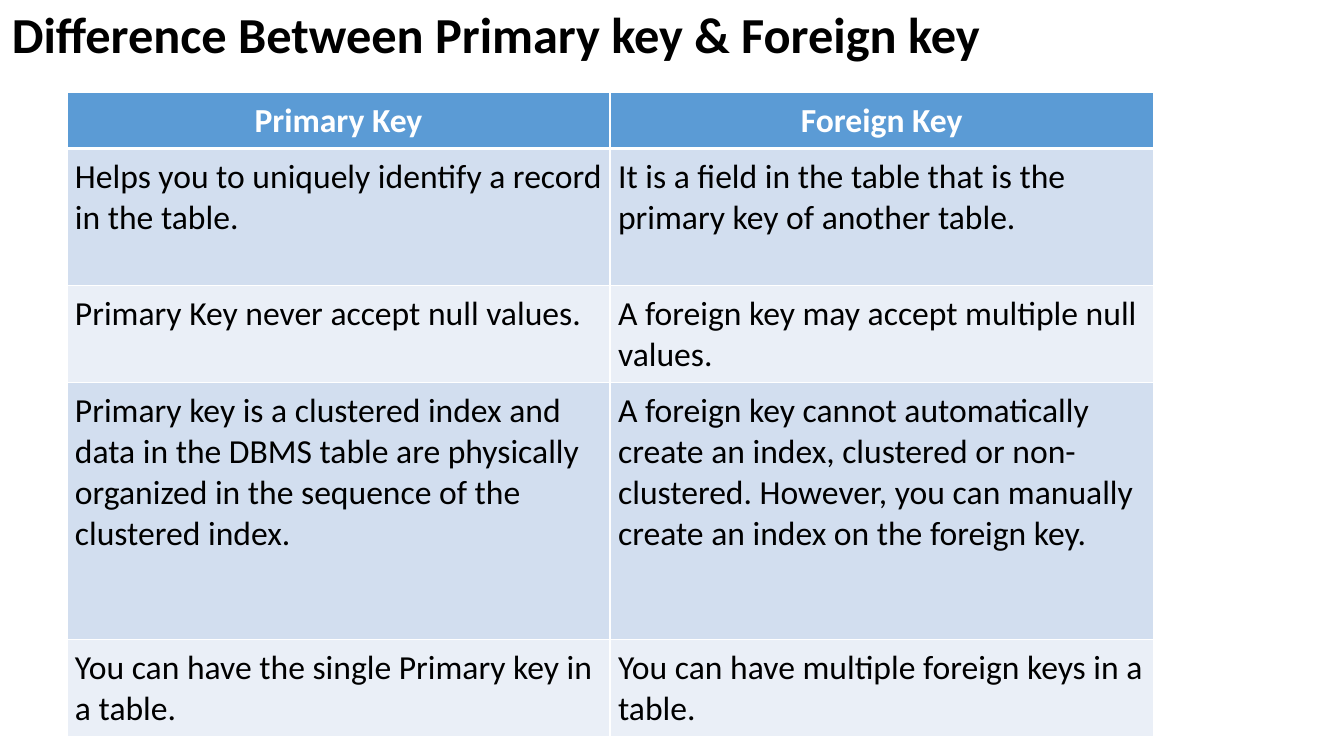
"""Build a slide that compares primary and foreign keys in a table."""
from lxml import etree
from pptx import Presentation
from pptx.dml.color import RGBColor
from pptx.enum import text
from pptx.oxml import ns
from pptx.util import Pt


def paint(fill, tint):
    fill.solid()
    fill.fore_color.rgb = RGBColor.from_string(tint)


def write(frame, words, size, tint, bold):
    frame.text = words
    font = frame.paragraphs[0].runs[0].font
    look = {"name": "Calibri", "size": Pt(size), "bold": bold}
    for key, value in look.items():
        setattr(font, key, value)
    paint(font.fill, tint)


deck = Presentation()
deck.slide_width, deck.slide_height = Pt(960), Pt(540)
slide = deck.slides.add_slide(deck.slide_layouts[6])

title = slide.shapes.add_textbox(Pt(1.4), Pt(-1.4), Pt(958.6), Pt(208)).text_frame
title.word_wrap = True
write(title, "Difference Between Primary key & Foreign key", 36, "000000", True)

rows = [
    (40.3, "Primary Key", "Foreign Key"),
    (97.9, "Helps you to uniquely identify a record in the table.",
     "It is a field in the table that is the primary key of another table."),
    (69.1, "Primary Key never accept null values.",
     "A foreign key may accept multiple null values."),
    (183.6, "Primary key is a clustered index and data in the DBMS table are "
     "physically organized in the sequence of the clustered index.",
     "A foreign key cannot automatically create an index, clustered or "
     "non-clustered. However, you can manually create an index on the foreign key."),
    (69.1, "You can have the single Primary key in a table.",
     "You can have multiple foreign keys in a table."),
]
high = sum(row[0] for row in rows)
grid = slide.shapes.add_table(len(rows), 2, Pt(47.8), Pt(65.8), Pt(776), Pt(high)).table
pad = {"margin_" + side: Pt(5.76) for side in ("left", "top", "right", "bottom")}

for r, (tall, *words) in enumerate(rows):
    grid.rows[r].height = Pt(tall)
    head = r == 0
    band = "5B9BD5" if head else ("EAEFF7", "D2DEEF")[r % 2]
    for c, phrase in enumerate(words):
        cell = grid.cell(r, c)
        for key, value in pad.items():
            setattr(cell, key, value)
        write(cell.text_frame, phrase, 24, "FFFFFF" if head else "000000", head)
        if head:
            cell.text_frame.paragraphs[0].alignment = text.PP_ALIGN.CENTER
        props = cell._tc.get_or_add_tcPr()
        for edge in ("L", "R", "T", "B"):
            thick = (r, edge) in ((0, "B"), (1, "T"))
            line = etree.SubElement(props, ns.qn("a:ln" + edge), w=str(Pt(3 if thick else 1)))
            ink = etree.SubElement(line, ns.qn("a:solidFill"))
            etree.SubElement(ink, ns.qn("a:srgbClr"), val="FFFFFF")
        paint(cell.fill, band)

deck.save("out.pptx")
